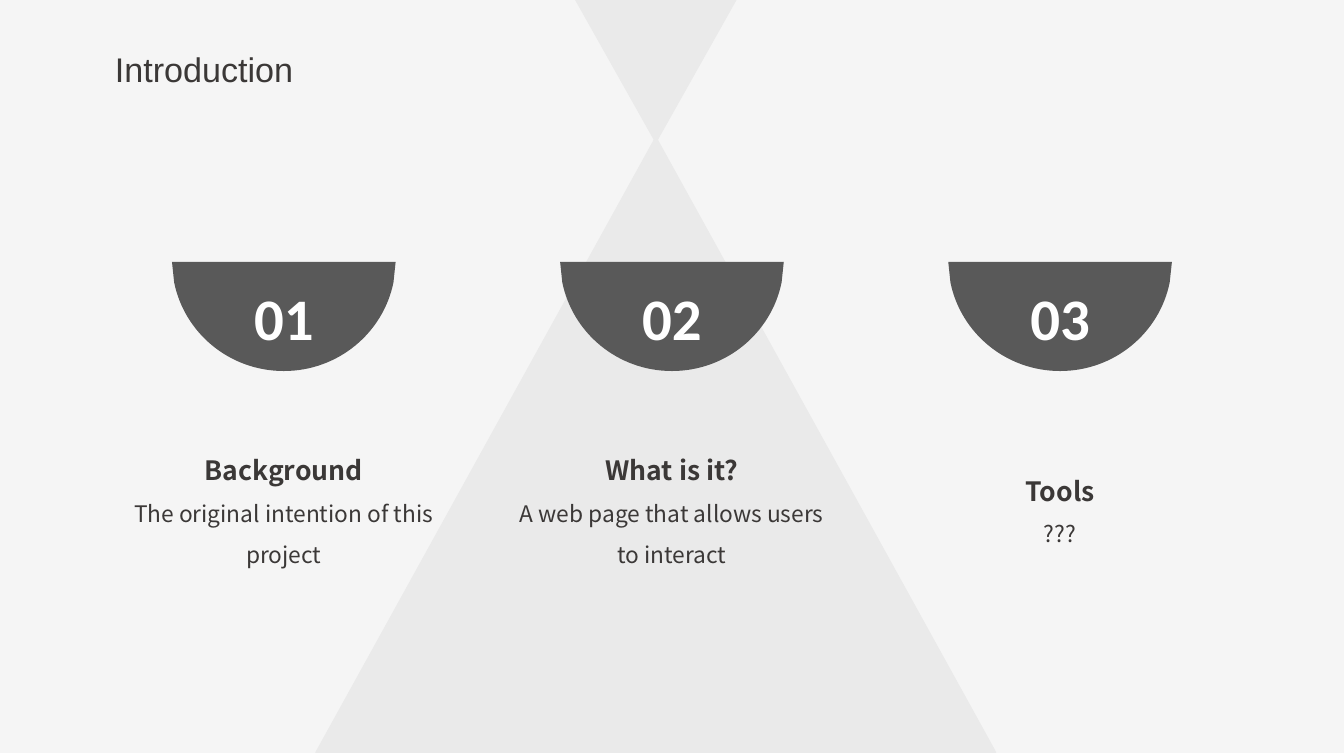
from dataclasses import dataclass

from lxml.etree import SubElement
from pptx import Presentation
from pptx.dml.color import RGBColor
from pptx.enum.shapes import MSO_SHAPE
from pptx.enum.text import MSO_ANCHOR, MSO_AUTO_SIZE, PP_ALIGN
from pptx.oxml.ns import qn
from pptx.util import Cm, Pt


@dataclass(frozen=True)
class Theme:
    """Colours, fonts and type sizes of the slide."""

    background: RGBColor = RGBColor.from_string("F5F5F5")
    backdrop: RGBColor = RGBColor.from_string("EAEAEA")
    bowl: RGBColor = RGBColor.from_string("595959")
    ink: RGBColor = RGBColor.from_string("3B3837")
    number: RGBColor = RGBColor.from_string("FFFFFF")
    title_font: str = "Arial"
    number_font: str = "Calibri"
    topic_font: str = "Noto Sans CJK SC"
    title_size: Pt = Pt(18)
    number_size: Pt = Pt(31)
    heading_size: Pt = Pt(14)
    detail_size: Pt = Pt(12)


THEME = Theme()
TOPICS = [
    ("Background", "The original intention of this project"),
    ("What is it?", "A web page that allows users to interact"),
    ("Tools", "???"),
]
SLIDE_WIDTH, SLIDE_HEIGHT = 25, 14
COLUMN_PITCH = 7.22
BOWL_TOP = 4.87
RIM_HALF_WIDTH = 2.08
BOWL_CURVE = [(2.04, 0.38), (1.85, 1.32), (1.01, 2.03), (0, 2.03)]


def prepare_frame(shape, anchor):
    """Set the insets, wrapping and anchor of a shape's text."""
    frame = shape.text_frame
    frame.margin_left = frame.margin_right = Cm(0.18)
    frame.margin_top = frame.margin_bottom = Cm(0.1)
    frame.word_wrap = True
    frame.vertical_anchor = anchor
    return frame


def write_centred(paragraph, text, font_name, size, colour, bold=False):
    """Fill a centred paragraph with evenly formatted text."""
    paragraph.text = text
    paragraph.alignment = PP_ALIGN.CENTER
    paragraph.font.name = font_name
    paragraph.font.size = size
    paragraph.font.bold = bold
    paragraph.font.color.rgb = colour


def add_backdrop_triangle(slide, top, height, flipped=False):
    """Add a pale triangle behind the content."""
    triangle = slide.shapes.add_shape(
        MSO_SHAPE.ISOSCELES_TRIANGLE, Cm(5.9), Cm(top), Cm(12.6), Cm(height)
    )
    if flipped:
        triangle._element.spPr.find(qn("a:xfrm")).set("flipV", "1")
    triangle.shadow.inherit = False
    triangle.fill.solid()
    triangle.fill.fore_color.rgb = THEME.backdrop
    triangle.line.color.rgb = THEME.backdrop
    triangle.line.width = Pt(2)


def bend_segment(segment, curve):
    """Turn a straight outline segment into a cubic curve."""
    segment.tag = qn("a:cubicBezTo")
    for point in list(segment):
        segment.remove(point)
    for x, y in curve:
        SubElement(
            segment, qn("a:pt"), x=str(Cm(RIM_HALF_WIDTH + x)), y=str(Cm(y))
        )


def add_bowl(slide, centre, number):
    """Add a numbered bowl centred on a column."""
    mirrored_curve = [(-x, y) for x, y in reversed(BOWL_CURVE)]
    outline = [
        (-RIM_HALF_WIDTH, 0), (RIM_HALF_WIDTH, 0),
        BOWL_CURVE[0], BOWL_CURVE[-1], mirrored_curve[-1],
    ]
    corners = [(Cm(centre + x), Cm(BOWL_TOP + y)) for x, y in outline]
    builder = slide.shapes.build_freeform(*corners[0])
    builder.add_line_segments(corners[1:], close=True)
    bowl = builder.convert_to_shape()
    right_segment, left_segment = list(bowl._element.iter(qn("a:lnTo")))[2:4]
    bend_segment(right_segment, BOWL_CURVE[1:])
    bend_segment(left_segment, mirrored_curve[1:])
    bowl.shadow.inherit = False
    bowl.fill.solid()
    bowl.fill.fore_color.rgb = THEME.bowl
    bowl.line.fill.background()
    frame = prepare_frame(bowl, MSO_ANCHOR.MIDDLE)
    write_centred(
        frame.paragraphs[0], f"{number:02}", THEME.number_font,
        THEME.number_size, THEME.number, bold=True,
    )


def add_topic(slide, centre, heading, detail):
    """Add a topic's heading and detail below its bowl."""
    width = 6.22
    topic = slide.shapes.add_textbox(
        Cm(centre - width / 2), Cm(7.59), Cm(width), Cm(3.53)
    )
    frame = prepare_frame(topic, MSO_ANCHOR.MIDDLE)
    heading_line, detail_line = frame.paragraphs[0], frame.add_paragraph()
    heading_line.line_spacing = detail_line.line_spacing = 1.5
    write_centred(
        heading_line, heading, THEME.topic_font, THEME.heading_size, THEME.ink, bold=True
    )
    write_centred(detail_line, detail, THEME.topic_font, THEME.detail_size, THEME.ink)


def set_title(slide, text):
    """Place and format the slide title."""
    title = slide.shapes.title
    title.left, title.top, title.width, title.height = Cm(1.09), Cm(0.79), Cm(5.41), Cm(0.97)
    frame = prepare_frame(title, MSO_ANCHOR.TOP)
    frame.auto_size = MSO_AUTO_SIZE.SHAPE_TO_FIT_TEXT
    write_centred(
        frame.paragraphs[0], text, THEME.title_font, THEME.title_size, THEME.ink
    )


def main():
    """Build and save the introduction slide."""
    presentation = Presentation()
    presentation.slide_width, presentation.slide_height = Cm(SLIDE_WIDTH), Cm(SLIDE_HEIGHT)
    slide = presentation.slides.add_slide(presentation.slide_layouts[5])
    slide.background.fill.solid()
    slide.background.fill.fore_color.rgb = THEME.background
    add_backdrop_triangle(slide, 2.6, 11.4)
    add_backdrop_triangle(slide, -8.6, 11.2, flipped=True)
    for index, (heading, detail) in enumerate(TOPICS):
        centre = SLIDE_WIDTH / 2 + (index - 1) * COLUMN_PITCH
        add_bowl(slide, centre, index + 1)
        add_topic(slide, centre, heading, detail)
    set_title(slide, "Introduction")
    presentation.save("out.pptx")


if __name__ == "__main__":
    main()
